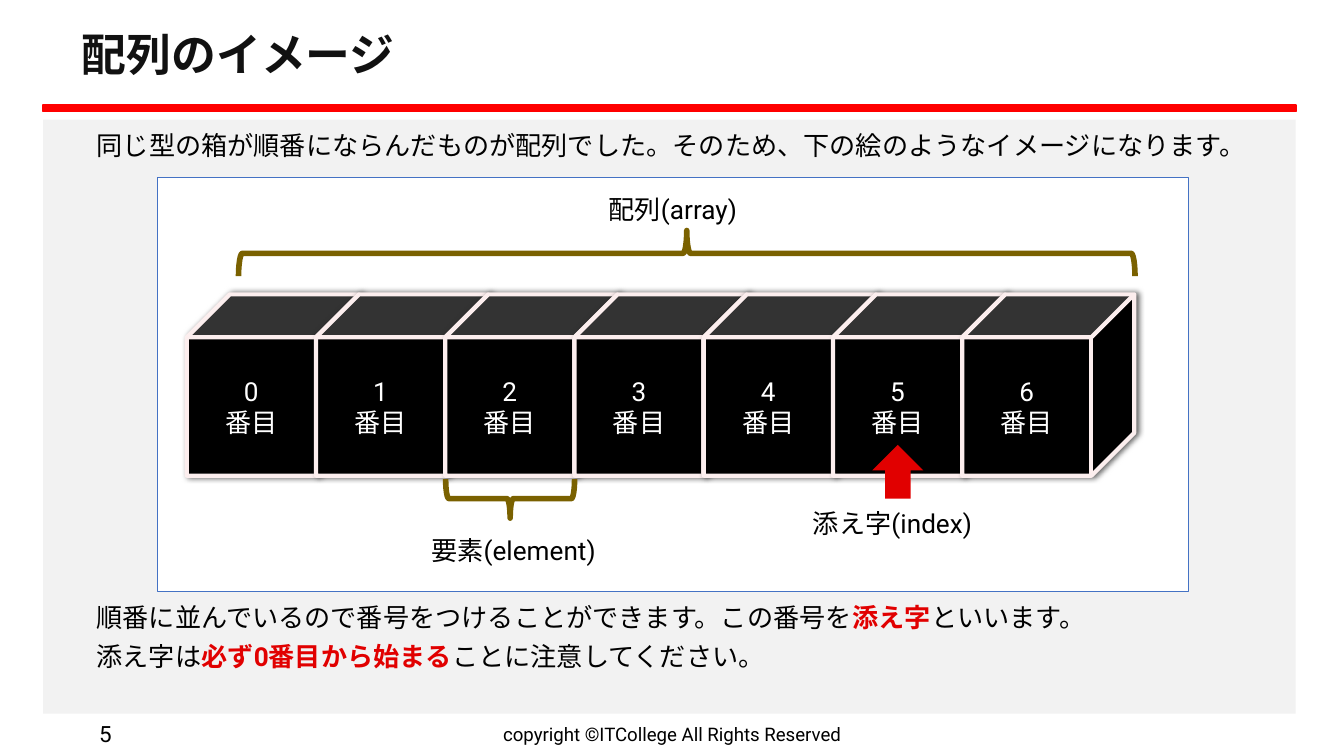
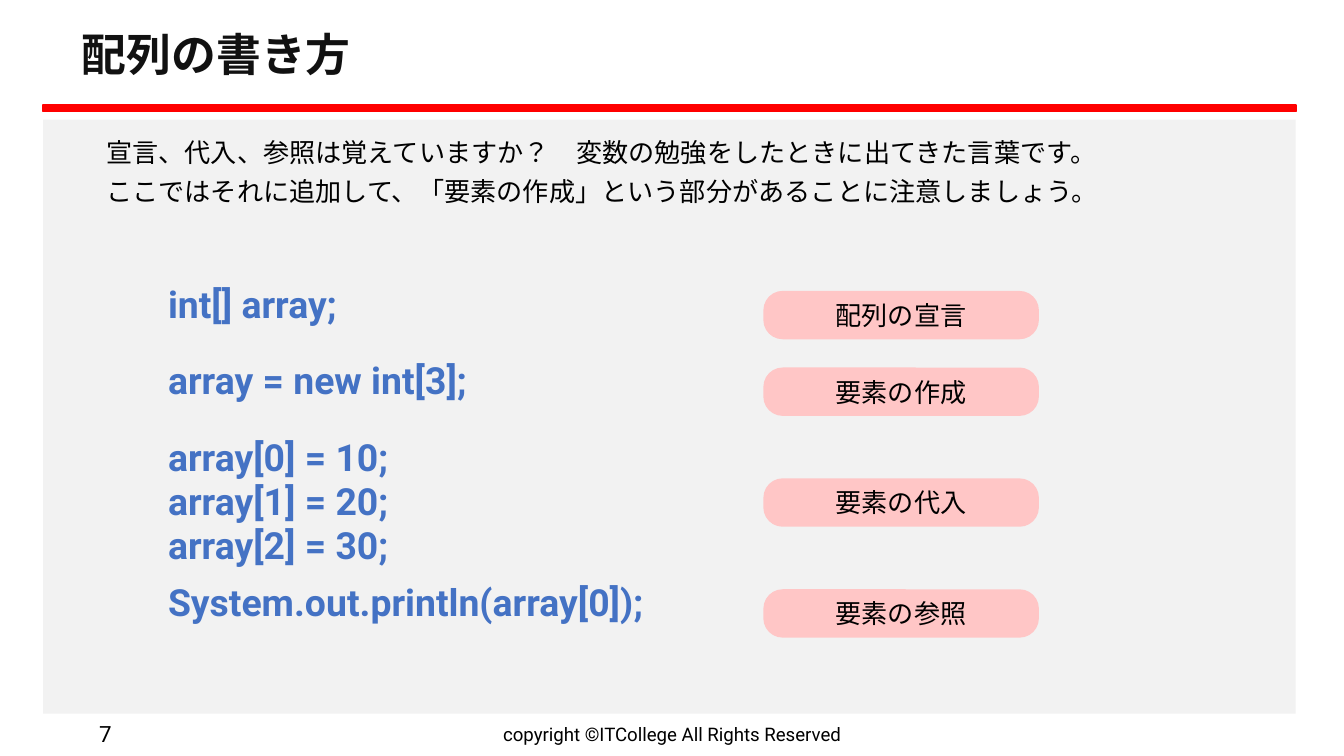
from lxml.etree import SubElement
from pptx import Presentation
from pptx.dml.color import RGBColor
from pptx.enum.lang import MSO_LANGUAGE_ID as Language
from pptx.enum.shapes import MSO_SHAPE as Shape
from pptx.enum.text import MSO_ANCHOR as Anchor, MSO_AUTO_SIZE as AutoSize, PP_ALIGN as Align
from pptx.oxml.ns import qn
from pptx.util import Inches, Pt

COLORS = {
    "black": "000000", "white": "FFFFFF", "title": "111111", "panel": "F2F2F2",
    "rule": "FF0000", "accent": "E10000", "blue": "4472C4", "edge": "FCEEEE",
    "brace": "7A6100", "pill": "FFC6C6",
}
FONT = "Roboto"
PLAIN_TABLE = "{2D5ABB26-0587-4C30-8999-92F81FD0307C}"
BODY = {"indent": 0.11, "line_spacing": 0.9, "space_before": Pt(6), "margins": (0.1, 0.05)}
CENTERED = {"alignment": Align.CENTER, "anchor": Anchor.MIDDLE}


def write(frame, lines, size=14, color="black", bold=False, indent=0,
          margins=(0.1, 0.05), anchor=Anchor.TOP, **formats):
    side, edge = margins
    settings = {
        "word_wrap": True, "auto_size": AutoSize.NONE, "vertical_anchor": anchor,
        "margin_left": Inches(side), "margin_right": Inches(side),
        "margin_top": Inches(edge), "margin_bottom": Inches(edge),
    }
    for name, value in settings.items():
        setattr(frame, name, value)
    for number, line in enumerate(lines):
        para = frame.add_paragraph() if number else frame.paragraphs[0]
        properties = para._p.get_or_add_pPr()
        properties.set("marL", str(Inches(indent)))
        properties.set("indent", "0")
        SubElement(properties, qn("a:buNone"))
        values = {"alignment": Align.LEFT, "space_before": Pt(0), **formats}
        if number == 0:
            values["space_before"] = Pt(0)
        for name, value in values.items():
            setattr(para, name, value)
        for text, strong in [(line, False)] if isinstance(line, str) else line:
            span = para.add_run()
            span.text = text
            looks = {"size": Pt(size), "bold": bold or strong, "name": FONT,
                     "language_id": Language.JAPANESE}
            for name, value in looks.items():
                setattr(span.font, name, value)
            span.font.color.rgb = RGBColor.from_string(COLORS["accent" if strong else color])
            SubElement(span._r.get_or_add_rPr(), qn("a:ea"), typeface=FONT)


def draw(page, kind, place, fill=None, line=None, width=1, adjust=(), turn=0):
    shape = page.shapes.add_shape(kind, *map(Inches, place))
    shape.shadow.inherit = False
    shape.rotation = turn
    for number, value in enumerate(adjust):
        shape.adjustments[number] = value
    if fill:
        shape.fill.solid()
        shape.fill.fore_color.rgb = RGBColor.from_string(COLORS[fill])
    else:
        shape.fill.background()
    if line:
        shape.line.color.rgb = RGBColor.from_string(COLORS[line])
        shape.line.width = Pt(width)
    else:
        shape.line.fill.background()
    return shape


deck = Presentation()
deck.slide_width, deck.slide_height = Inches(10), Inches(10 * 9 / 16)
layout = deck.slide_layouts[1]

topics = [
    ("配列のイメージ", "5", (0.51, 0.94, 8.99, 0.35),
     ["同じ型の箱が順番にならんだものが配列でした。そのため、下の絵のようなイメージになります。"]),
    ("配列の書き方", "7", (0.58, 0.99, 8.99, 0.96),
     ["宣言、代入、参照は覚えていますか？　変数の勉強をしたときに出てきた言葉です。",
      "ここではそれに追加して、「要素の作成」という部分があることに注意しましょう。"]),
]
pages = []
for title, number, body_place, body_lines in topics:
    page = deck.slides.add_slide(layout)
    pages.append(page)
    heading, body = page.placeholders
    for box, place in [(heading, (0.51, 0.13, 8.99, 0.59)), (body, body_place)]:
        for name, value in zip(("left", "top", "width", "height"), place):
            setattr(box, name, Inches(value))
    write(heading.text_frame, [title], 24, "title", True, margins=(0.1, 0.1),
          anchor=Anchor.MIDDLE, line_spacing=0.9)
    write(body.text_frame, body_lines, **BODY)
    copyright_box = page.shapes.add_textbox(*map(Inches, (3.31, 5.32, 3.38, 0.28)))
    write(copyright_box.text_frame, ["copyright ©ITCollege All Rights Reserved"], 10, **CENTERED)
    number_box = page.shapes.add_textbox(*map(Inches, (0.24, 5.32, 0.69, 0.28)))
    write(number_box.text_frame, [number], 12, alignment=Align.RIGHT, anchor=Anchor.MIDDLE)

image_page, code_page = pages

panel = draw(image_page, Shape.RECTANGLE, (0.32, 0.89, 9.32, 4.42), "panel")
rule = draw(image_page, Shape.RECTANGLE, (0.32, 0.78, 9.32, 0.05), "rule", "rule")
layout_title = layout.shapes[0].element
for band in (panel, rule):
    layout_title.addprevious(band.element)

draw(image_page, Shape.RECTANGLE, (1.17, 1.32, 7.67, 3.08), "white", "blue", 0.25)
first_cube, last_cube, cube_count = 1.39, 7.16, 7
cube_step = (last_cube - first_cube) / (cube_count - 1)
for index in range(cube_count):
    cube = draw(image_page, Shape.CUBE, (first_cube + index * cube_step, 2.19, 1.28, 1.35),
                "black", "edge", 2.25, [0.25])
    write(cube.text_frame, [str(index), "番目"], color="white", **CENTERED)
    effects = cube.element.spPr.find(qn("a:effectLst"))
    shadow = SubElement(effects, qn("a:outerShdw"), blurRad=str(Pt(3)), dist=str(Pt(1.5)), dir="0")
    shade = SubElement(shadow, qn("a:srgbClr"), val=COLORS["black"])
    SubElement(shade, qn("a:alpha"), val="60000")

for place, turn in [((4.94, -1.45, 0.34, 6.67), 270), ((3.65, 3.23, 0.29, 0.96), 90)]:
    draw(image_page, Shape.RIGHT_BRACE, place, None, "brace", 3, [0.083, 0.5], turn)

labels = [
    ("配列(array)", (4.43, 1.39, 1.6, 0.4)),
    ("要素(element)", (3.11, 3.93, 1.93, 0.4)),
    ("添え字(index)", (5.95, 3.73, 1.53, 0.4)),
]
for text, place in labels:
    label = image_page.shapes.add_textbox(*map(Inches, place))
    write(label.text_frame, [text])
draw(image_page, Shape.RIGHT_ARROW, (6.48, 3.32, 0.4, 0.38), "accent", adjust=[0.5, 0.5], turn=270)

summary = image_page.shapes.add_textbox(*map(Inches, (0.51, 4.45, 8.99, 0.8)))
write(summary.text_frame, [
    [("順番に並んでいるので番号をつけることができます。この番号を", False),
     ("添え字", True), ("といいます。", False)],
    [("添え字は", False), ("必ず0番目から始まる", True), ("ことに注意してください。", False)],
], **BODY)

steps = [
    ("配列の宣言", 0.57, ["int[] array;"]),
    ("要素の作成", 0.57, ["array = new int[3];"]),
    ("要素の代入", 1.08, ["array[0] = 10;", "array[1] = 20;", "array[2] = 30;"]),
    ("要素の参照", 0.57, ["System.out.println(array[0]);"]),
]
row_top, pill_height = 2.06, 0.36
table_height = sum(height for _, height, _ in steps)
table = code_page.shapes.add_table(
    len(steps), 2, *map(Inches, (1.15, row_top, 6.67, table_height))).table
table.first_row = table.horz_banding = False
table._tbl.tblPr.find(qn("a:tableStyleId")).text = PLAIN_TABLE
for column, width in zip(table.columns, (4.45, 2.22)):
    column.width = Inches(width)
for row, (name, height, code) in zip(table.rows, steps):
    row.height = Inches(height)
    for cell in row.cells:
        cell.fill.background()
    write(row.cells[0].text_frame, code, 20, "blue", True)
    pill_top = row_top + (height - pill_height) / 2
    pill = draw(code_page, Shape.ROUNDED_RECTANGLE, (5.68, pill_top, 2.05, pill_height),
                "pill", adjust=[0.4])
    write(pill.text_frame, [name], **CENTERED)
    row_top += height

deck.save("out.pptx")
